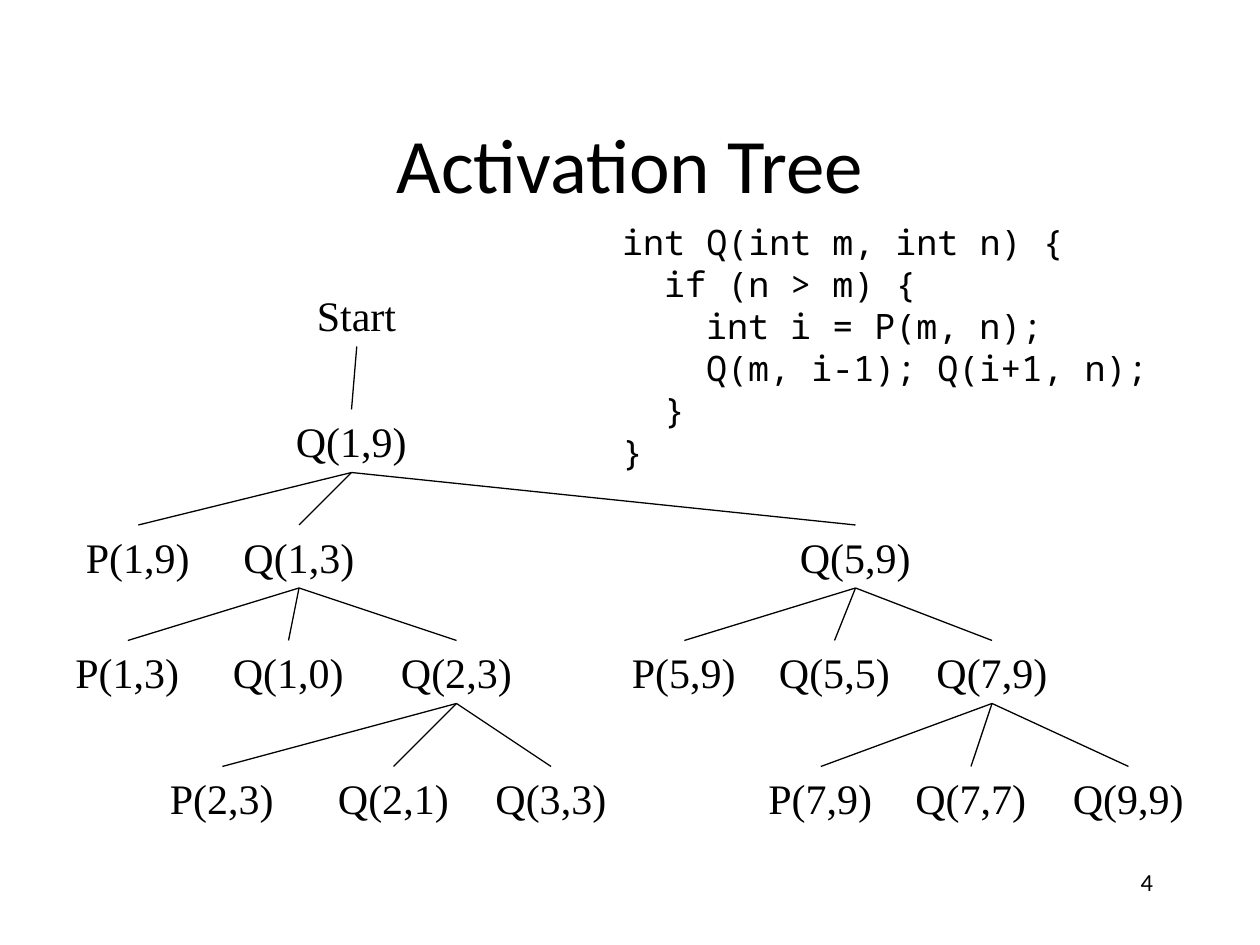
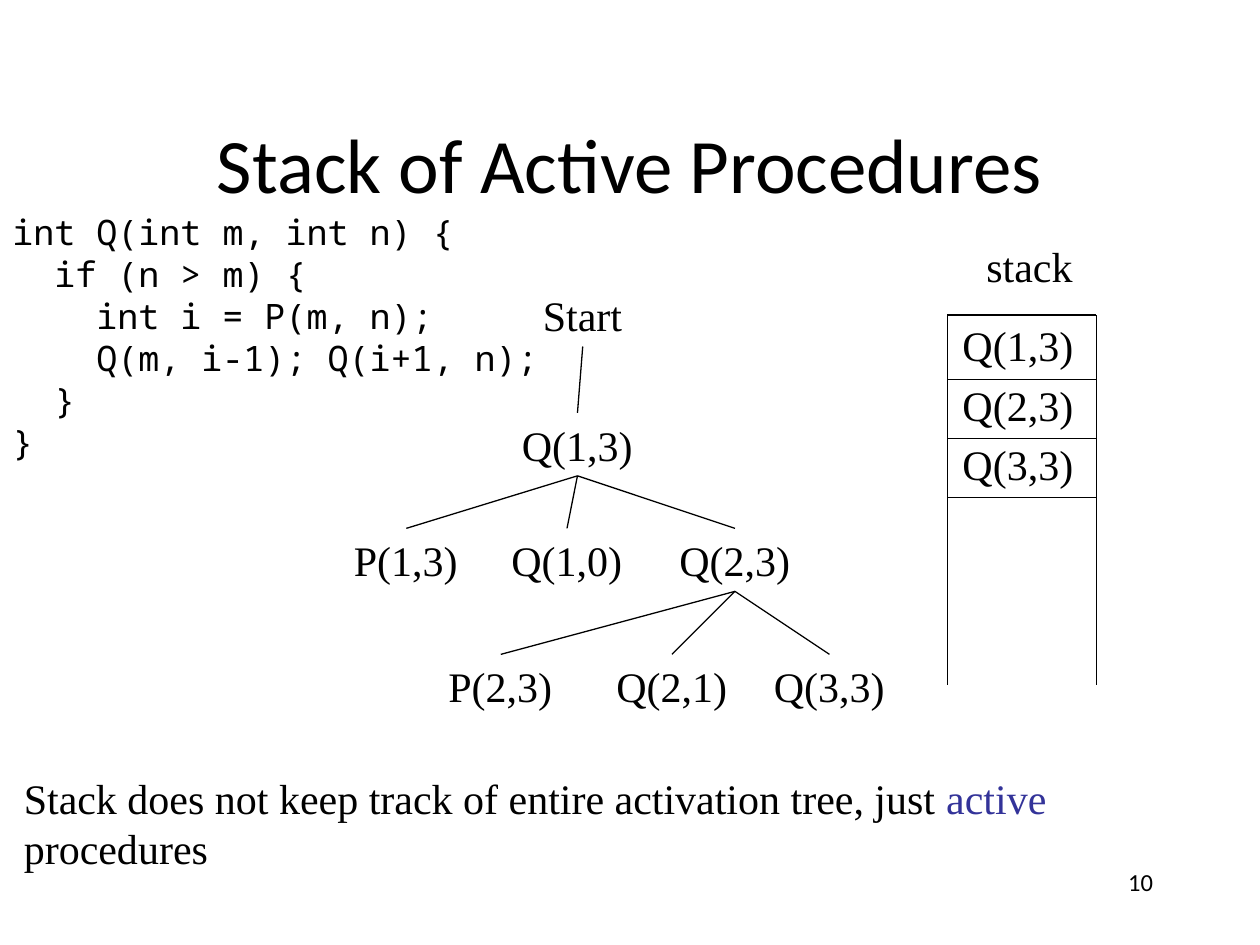
from pptx import Presentation
from pptx.dml.color import RGBColor
from pptx.enum.shapes import MSO_CONNECTOR
from pptx.enum.text import MSO_ANCHOR, MSO_AUTO_SIZE, PP_ALIGN
from pptx.oxml.ns import qn
from pptx.util import Inches, Pt
from lxml import etree

STRAIGHT = MSO_CONNECTOR.STRAIGHT
FIT = MSO_AUTO_SIZE.SHAPE_TO_FIT_TEXT
MIDDLE = MSO_ANCHOR.MIDDLE
LEFT, CENTER, RIGHT = PP_ALIGN.LEFT, PP_ALIGN.CENTER, PP_ALIGN.RIGHT
BOTTOM_SIDE, TOP_SIDE = 2, 0

BLACK, ACCENT = "000000", "333399"
SANS, SERIF, MONO = "Calibri", "Times New Roman", "Noto Sans Mono"
UNIT = 1 / 12  # grid step in inches
ROW_H = 6 * UNIT
NODE_W = {"P": 1.03, "Q": 1.08, "S": 0.83}

# call: (parent, column, row) in grid steps, parents first
CALLS = {
    "Q(1,9)": (None, 27, 39),
    "P(1,9)": ("Q(1,9)", 7, 50),
    "Q(1,3)": ("Q(1,9)", 22, 50),
    "Q(5,9)": ("Q(1,9)", 75, 50),
    "P(1,3)": ("Q(1,3)", 6, 61),
    "Q(1,0)": ("Q(1,3)", 21, 61),
    "Q(2,3)": ("Q(1,3)", 37, 61),
    "P(5,9)": ("Q(5,9)", 59, 61),
    "Q(5,5)": ("Q(5,9)", 73, 61),
    "Q(7,9)": ("Q(5,9)", 88, 61),
    "P(2,3)": ("Q(2,3)", 15, 73),
    "Q(2,1)": ("Q(2,3)", 31, 73),
    "Q(3,3)": ("Q(2,3)", 46, 73),
    "P(7,9)": ("Q(7,9)", 72, 73),
    "Q(7,7)": ("Q(7,9)", 86, 73),
    "Q(9,9)": ("Q(7,9)", 101, 73),
}
# (indent level, line)
CODE = [
    (0, "int Q(int m, int n) {"),
    (1, "if (n > m) {"),
    (2, "int i = P(m, n);"),
    (2, "Q(m, i-1); Q(i+1, n);"),
    (1, "}"),
    (0, "}"),
]
# title, number, root call, tree shift in inches, code box
SLIDES = [
    ("Activation Tree", "4", "Q(1,9)", (0, 0), (4.84, 1.7, 4.8, 2.12)),
    ("Stack of Active Procedures", "10", "Q(1,3)", (2.21, -0.89), (0, 1.62, 4.4, 2.12)),
]


def add_text(s, box, lines, font=SERIF, size=24, align=LEFT, wrap=False):
    """Each line is (indent level, [(text, colour), ...])."""
    sp = s.shapes.add_textbox(*map(Inches, box))
    tf = sp.text_frame
    tf.word_wrap = wrap
    tf.auto_size = FIT
    for i, (level, runs) in enumerate(lines):
        p = tf.add_paragraph() if i else tf.paragraphs[0]
        p.alignment = align
        if level:  # two monospaced characters per level
            p._p.get_or_add_pPr().set("marL", str(Pt(1.2 * size * level)))
        for text, colour in runs:
            r = p.add_run()
            r.text = text
            r.font.name, r.font.size = font, Pt(size)
            r.font.color.rgb = RGBColor.from_string(colour)
    return sp


def add_line(s, x1=0, y1=0, x2=0, y2=0, parent=None, child=None):
    """Draw between two points, or from a parent's bottom to a child's top."""
    line = s.shapes.add_connector(STRAIGHT, *map(Inches, (x1, y1, x2, y2)))
    line.line.color.rgb = RGBColor.from_string(BLACK)
    line.line.width = Pt(0.75)
    etree.SubElement(line._element.spPr, qn("a:effectLst"))
    if parent is not None:
        line.begin_connect(parent, BOTTOM_SIDE)
        line.end_connect(child, TOP_SIDE)


prs = Presentation()
prs.slide_width, prs.slide_height = Inches(10), Inches(7.5)

for title, number, root, (dx, dy), code_box in SLIDES:
    s = prs.slides.add_slide(prs.slide_layouts[5])
    sp = s.shapes.title
    sp.left, sp.top, sp.width, sp.height = map(Inches, (0.75, 0.67, 8.5, 1.25))
    tf = sp.text_frame
    tf.vertical_anchor = MIDDLE
    p = tf.paragraphs[0]
    p.alignment = CENTER
    r = p.add_run()
    r.text = title
    r.font.name, r.font.size = SANS, Pt(44)
    r.font.color.rgb = RGBColor.from_string(BLACK)
    add_text(s, (7.17, 6.83, 2.08, 0.5), [(0, [(number, BLACK)])], SANS, 14, RIGHT, True)

    # The tree below the root call, with Start above it
    start_x = (CALLS[root][1] + 2) * UNIT + dx
    start = add_text(s, (start_x, 2.25, NODE_W["S"], ROW_H), [(0, [("Start", BLACK)])])
    nodes = {}
    for call, (parent, col, row) in CALLS.items():
        if call != root and parent not in nodes:
            continue
        box = (col * UNIT + dx, row * UNIT + dy, NODE_W[call[0]], ROW_H)
        nodes[call] = add_text(s, box, [(0, [(call, BLACK)])])
        add_line(s, parent=nodes.get(parent, start), child=nodes[call])

    add_text(s, code_box, [(level, [(text, BLACK)]) for level, text in CODE],
             MONO, 20, wrap=True)

# The stack, on the last slide
stack_left, stack_right, stack_top, stack_bottom = 7.52, 8.7, 2.5, 5.44
add_text(s, (7.73, 1.86, 0.89, ROW_H), [(0, [("stack", BLACK)])])
for x in (stack_left, stack_right):
    add_line(s, x, stack_top, x, stack_bottom)
add_line(s, stack_left, stack_top, stack_right, stack_top)
for i, call in enumerate(("Q(1,3)", "Q(2,3)", "Q(3,3)")):
    y = 3.01 + 0.47 * i
    add_line(s, stack_left, y, stack_right, y)
    add_text(s, (7.54, y - 0.52, NODE_W["Q"], ROW_H), [(0, [(call, BLACK)])])

add_text(s, (0.09, 6.08, 9.85, 0.9), [(0, [
    ("Stack does not keep track of entire activation tree, just ", BLACK),
    ("active", ACCENT),
    (" procedures", BLACK),
])], wrap=True)

prs.save("out.pptx")
